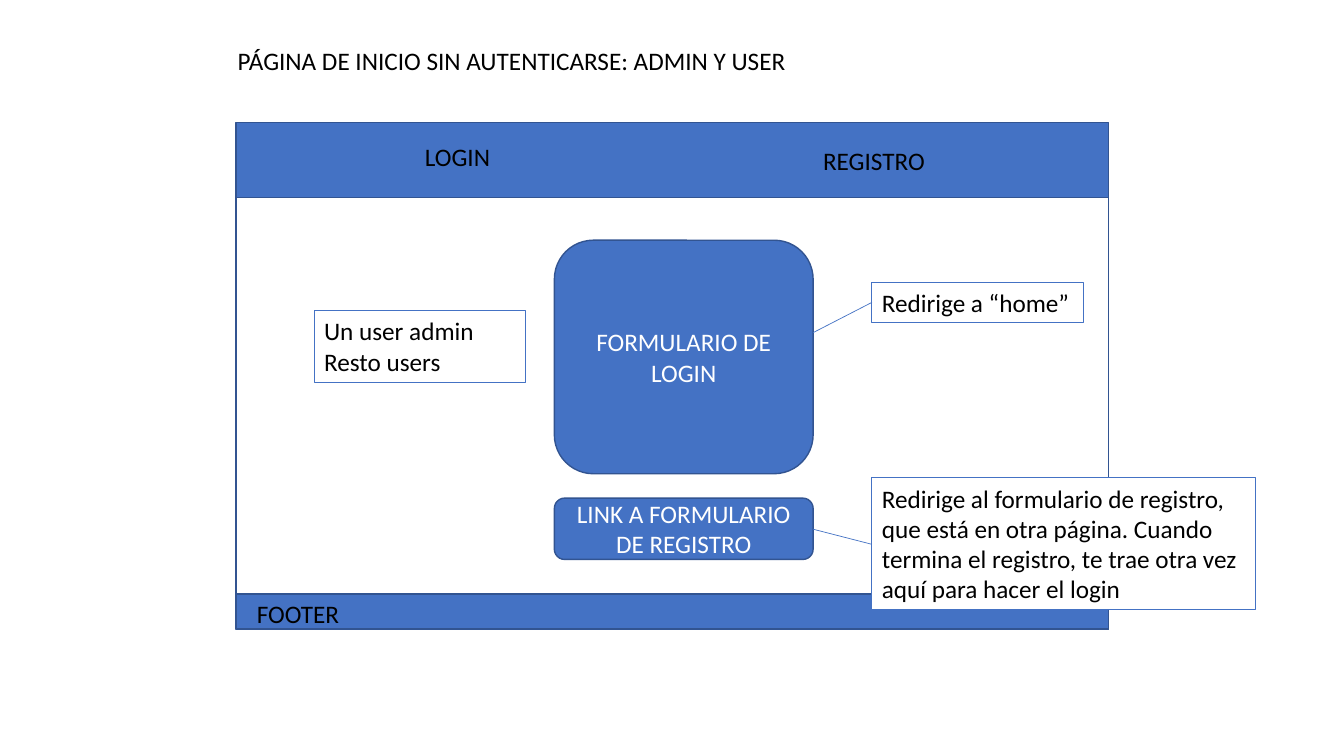
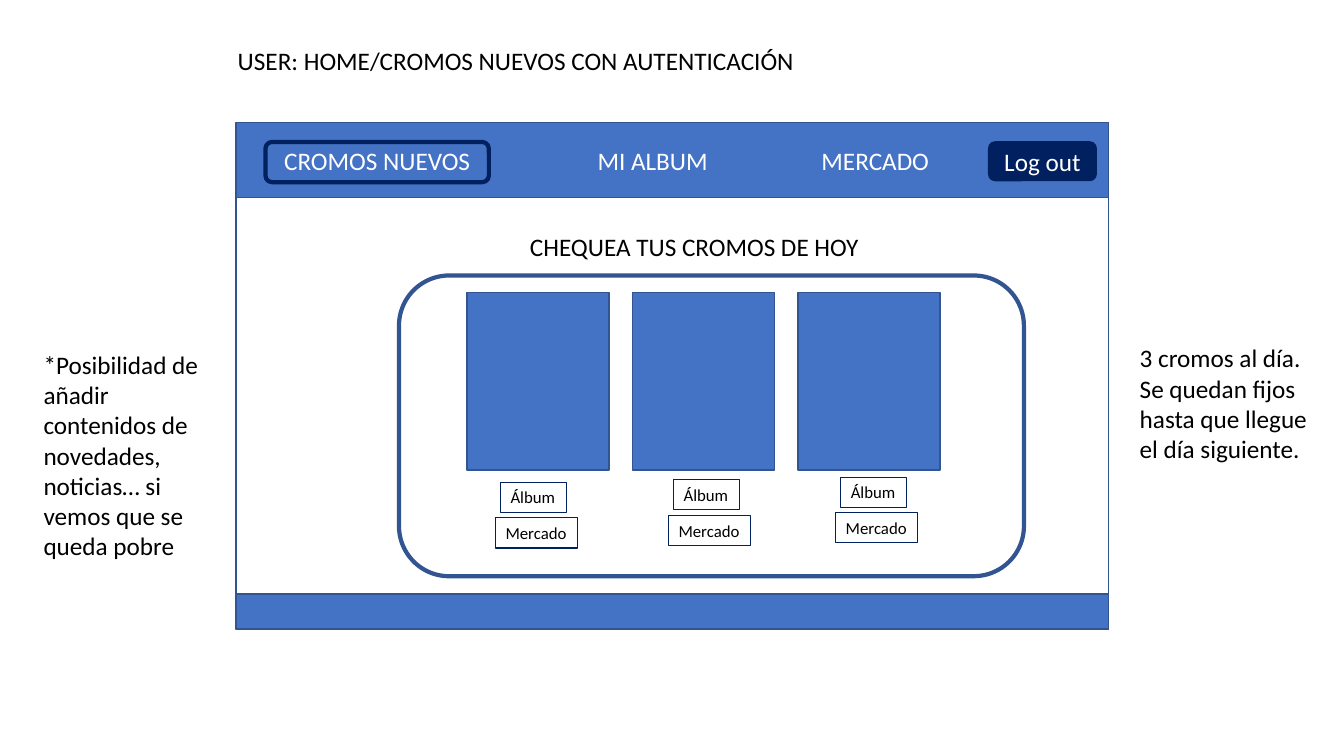
from pptx import Presentation
from pptx import util as u
from pptx.dml.color import RGBColor
from pptx.enum import shapes, text
from pptx.oxml import xmlchemy

BLUE = RGBColor(0x44, 0x72, 0xC4)
EDGE = RGBColor(0x32, 0x54, 0x91)
NAVY = RGBColor(0x00, 0x20, 0x60)
WHITE = RGBColor(0xFF, 0xFF, 0xFF)
BLACK = RGBColor(0x00, 0x00, 0x00)
RECT = shapes.MSO_SHAPE.RECTANGLE
ROUND = shapes.MSO_SHAPE.ROUNDED_RECTANGLE
COLUMNS, ROWS = 160, 90
LINE = 4.8


class Wireframe:
    """Draws page mock-ups on a grid of 160 columns by 90 rows."""

    font = "Calibri"
    size = 18

    def __init__(self):
        self.deck = Presentation()
        self.deck.slide_width = u.Inches(13.33)
        self.deck.slide_height = u.Inches(7.5)
        self.page = None

    def grid(self, *lengths):
        """Turn alternating columns and rows into slide lengths."""
        units = (self.deck.slide_width / COLUMNS, self.deck.slide_height / ROWS)
        return [u.Emu(round(length * units[i % 2])) for i, length in enumerate(lengths)]

    def add_text(self, shape, lines, color=BLACK, size=None, centred=False, wrap=True):
        """Fill a shape with one paragraph per line."""
        frame = shape.text_frame
        frame.word_wrap = wrap
        frame.vertical_anchor = text.MSO_ANCHOR.MIDDLE if centred else text.MSO_ANCHOR.TOP
        frame.auto_size = (text.MSO_AUTO_SIZE.NONE if centred
                           else text.MSO_AUTO_SIZE.SHAPE_TO_FIT_TEXT)
        for number, line in enumerate(lines):
            para = frame.add_paragraph() if number else frame.paragraphs[0]
            para.alignment = text.PP_ALIGN.CENTER if centred else text.PP_ALIGN.LEFT
            span = para.add_run()
            span.text = line
            span.font.name = self.font
            span.font.size = u.Pt(size or self.size)
            span.font.color.rgb = color

    def start(self, title):
        """Add a page with its title and the browser frame."""
        self.page = self.deck.slides.add_slide(self.deck.slide_layouts[5])
        heading = self.page.shapes.title
        heading.left, heading.top, heading.width, heading.height = self.grid(27.1, 4.8, 73, LINE)
        self.add_text(heading, [title])
        self.box((28.1, 15, 103.9, 59.9))
        self.box((28.1, 14.6, 103.9, 8.9), fill=BLUE)
        self.box((28.1, 70.7, 103.9, 4.2), fill=BLUE)

    def box(self, area, kind=RECT, fill=None, edge=EDGE, weight=1):
        """Add an outlined shape, hollow unless a fill is given."""
        shape = self.page.shapes.add_shape(kind, *self.grid(*area))
        shape.shadow.inherit = False
        if fill is None:
            shape.fill.background()
        else:
            shape.fill.solid()
            shape.fill.fore_color.rgb = fill
        shape.line.color.rgb = edge
        shape.line.width = u.Pt(weight)
        return shape

    def button(self, area, label, fill=None, edge=EDGE):
        """Add a rounded shape with centred white text."""
        self.add_text(self.box(area, ROUND, fill, edge), [label], WHITE, centred=True)

    def note(self, area, *lines):
        """Add a white annotation with a thin outline."""
        self.add_text(self.box(area, fill=WHITE, edge=BLUE, weight=0.75), lines)

    def tag(self, area, label):
        """Add a small outlined label."""
        self.add_text(self.box(area, edge=NAVY, weight=0.75), [label], size=12, wrap=False)

    def label(self, area, line):
        """Add plain text."""
        self.add_text(self.page.shapes.add_textbox(*self.grid(*area)), [line])

    def join(self, *ends):
        """Join an element to its annotation."""
        line = self.page.shapes.add_connector(shapes.MSO_CONNECTOR.STRAIGHT, *self.grid(*ends))
        line.line.color.rgb = BLUE
        line.line.width = u.Pt(0.5)
        line._element.spPr.append(xmlchemy.OxmlElement("a:effectLst"))


def draw_login(wire):
    """Draw the start page seen before signing in."""
    wire.start("PÁGINA DE INICIO SIN AUTENTICARSE: ADMIN Y USER")
    wire.label((49.4, 16.2, 13.8, LINE), "LOGIN")
    wire.label((96.8, 16.7, 15.2, LINE), "REGISTRO")
    wire.button((66, 28.6, 30.8, 27.8), "FORMULARIO DE LOGIN", BLUE)
    wire.button((66, 59.3, 30.8, 7.3), "LINK A FORMULARIO DE REGISTRO", BLUE)
    wire.note((103.8, 56.9, 45.7, 15.7),
              "Redirige al formulario de registro, que está en otra página. "
              "Cuando termina el registro, te trae otra vez aquí para hacer el login")
    wire.join(96.8, 63, 103.8, 64.8)
    wire.note((103.8, 33.6, 25.2, LINE), "Redirige a “home”")
    wire.join(96.8, 39.6, 103.8, 36)
    wire.note((37.4, 37, 25.2, 8.5), "Un user admin", "Resto users")
    wire.label((29.4, 70.6, 13.7, LINE), "FOOTER")


def draw_home(wire):
    """Draw the home page of a signed-in user."""
    wire.start("USER: HOME/CROMOS NUEVOS CON AUTENTICACIÓN")
    menu = [("CROMOS NUEVOS", 31.6, 26.6), ("MI ALBUM", 68.5, 18.4), ("MERCADO", 95, 18.4)]
    for name, left, width in menu:
        wire.button((left, 16.85, width, 4.6), name, edge=BLUE)
    wire.button((117.7, 16.9, 12.8, 4.6), "Log out", NAVY, NAVY)
    wire.box((31.6, 16.9, 26.6, LINE), ROUND, edge=NAVY, weight=3)
    wire.box((47.5, 32.8, 74.4, 35.8), ROUND, weight=3)
    wire.label((61.9, 26.9, 45.4, LINE), "CHEQUEA TUS CROMOS DE HOY")
    for number, tag_left in enumerate((59.6, 80.2, 100.1)):
        wire.box((55.6 + 19.7 * number, 34.85, 16.9, 21.1), fill=BLUE)
        tag_top = 57.4 - 0.3 * number
        wire.tag((tag_left, tag_top, 7.8, 3.6), "Álbum")
        wire.tag((tag_left - 0.6, tag_top + 4.25, 9.7, 3.6), "Mercado")
    wire.label((4, 41, 23.2, 26.6),
               "*Posibilidad de añadir contenidos de novedades, noticias… "
               "si vemos que se queda pobre")
    wire.label((134.5, 40.2, 23.2, 15.7),
               "3 cromos al día. Se quedan fijos hasta que llegue el día siguiente.")


wire = Wireframe()
draw_login(wire)
draw_home(wire)
wire.deck.save("out.pptx")
